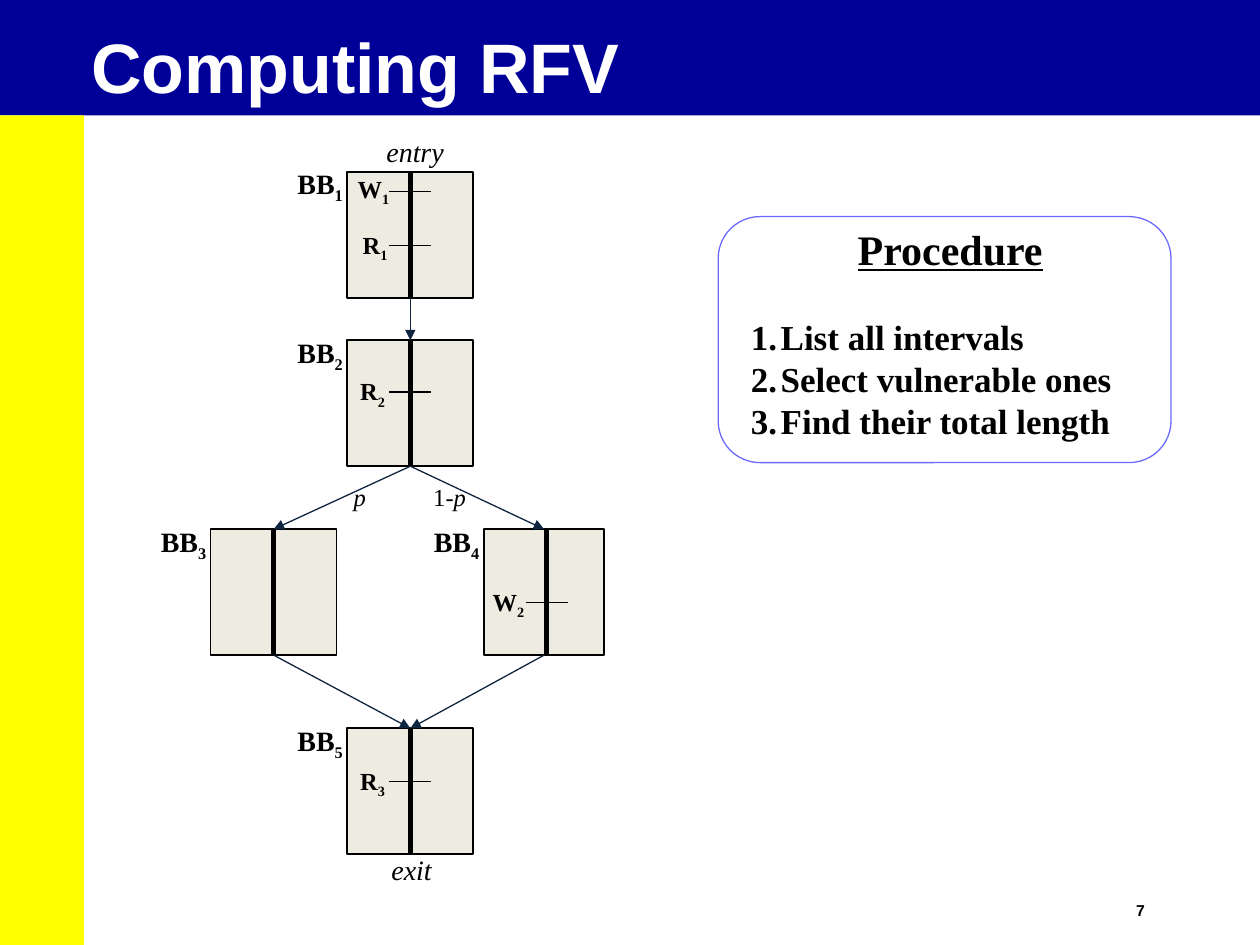
"""Build the "Computing RFV" slide with its control-flow graph and procedure."""
from dataclasses import dataclass

import pptx
import pptx.dml.color
import pptx.enum.dml
import pptx.enum.shapes
import pptx.enum.text
import pptx.oxml.ns
import pptx.util
from lxml import etree

Pt = pptx.util.Pt
RGBColor = pptx.dml.color.RGBColor
Shape = pptx.enum.shapes.MSO_SHAPE
Align = pptx.enum.text.PP_ALIGN
Anchor = pptx.enum.text.MSO_ANCHOR
qn = pptx.oxml.ns.qn

NAVY = RGBColor(0x00, 0x00, 0x99)
YELLOW = RGBColor(0xFF, 0xFF, 0x00)
WHITE = RGBColor(0xFF, 0xFF, 0xFF)
BLACK = RGBColor(0x00, 0x00, 0x00)
CREAM = RGBColor(0xEE, 0xEC, 0xE1)
ARROW_BLUE = RGBColor(0x10, 0x25, 0x3F)
FRAME_BLUE = RGBColor(0x6A, 0x6A, 0xFF)
SERIF = "Times New Roman"
SANS = "Arial"
SIDE = 72


@dataclass(frozen=True)
class Block:
    number: str
    left: float
    top: float
    width: float = SIDE


@dataclass(frozen=True)
class Access:
    block: int
    kind: str
    number: str
    tick: float
    label_right: float
    label_width: float
    label_rise: float = 12.4


@dataclass(frozen=True)
class Span:
    text: str
    bold: bool = False
    italic: bool = False
    subscript: bool = False


@dataclass(frozen=True)
class Label:
    spans: tuple
    left: float
    top: float
    width: float
    height: float
    size: float
    align: Align = Align.LEFT


BLOCKS = (
    Block("1", 198.5, 98.2),
    Block("2", 198.5, 194.4),
    Block("3", 120.4, 302.4),
    Block("4", 276.4, 302.4, 69),
    Block("5", 198.5, 416.2),
)
FLOWS = ((0, 1), (1, 2), (1, 3), (3, 4), (2, 4))
ACCESSES = (
    Access(0, "W", "1", 11.2, 31, 32.4, 13.6),
    Access(0, "R", "1", 42, 30, 28.8),
    Access(1, "R", "2", 29.6, 28.6, 28.8),
    Access(3, "W", "2", 41.8, 30.3, 32.4),
    Access(4, "R", "3", 30.2, 28.6, 28.8),
)
NOTES = (
    Label((Span("p", italic=True),), 195, 272, 21.6, 24.5, 14),
    Label((Span("1"), Span("-p", italic=True)), 240.5, 272, 33, 24.5, 14),
    Label((Span("entry", italic=True),), 207.2, 73.6, 60, 26.6, 16, Align.CENTER),
    Label((Span("exit", italic=True),), 205.2, 483.4, 60, 26.6, 16, Align.CENTER),
)
STEPS = ("List all intervals", "Select vulnerable ones", "Find their total length")


def add_box(page, kind, left: float, top: float, width: float, height: float,
            fill=None, line=None, weight: float = 1):
    box = page.shapes.add_shape(kind, Pt(left), Pt(top), Pt(width), Pt(height))
    box.shadow.inherit = False
    if fill is None:
        box.fill.background()
    else:
        box.fill.solid()
        box.fill.fore_color.rgb = fill
    if line is None:
        box.line.fill.background()
    else:
        box.line.color.rgb = line
        box.line.width = Pt(weight)
    return box


def add_line(page, start: tuple, end: tuple, color: RGBColor, weight: float):
    line = page.shapes.add_connector(
        pptx.enum.shapes.MSO_CONNECTOR.STRAIGHT, *map(Pt, start + end))
    line.line.color.rgb = color
    line.line.width = Pt(weight)
    etree.SubElement(line._element.spPr, qn("a:effectLst"))
    return line


def add_arrow(page, source, target) -> None:
    arrow = add_line(page, (0, 0), (0, 0), ARROW_BLUE, 0.75)
    arrow.begin_connect(source, 2)
    arrow.end_connect(target, 0)
    outline = arrow.line._get_or_add_ln()
    etree.SubElement(outline, qn("a:tailEnd"), type="triangle")


def add_stem(page, block: Block, box) -> None:
    middle = block.left + SIDE / 2
    stem = add_line(page, (middle, block.top), (middle, block.top + SIDE), BLACK, 3)
    if block.width == SIDE:
        stem.begin_connect(box, 0)
        stem.end_connect(box, 2)


def style(font, size: float, color: RGBColor, name: str, bold: bool) -> None:
    font.size = Pt(size)
    font.color.rgb = color
    font.name = name
    font.bold = bold


def add_label(page, label: Label) -> None:
    box = page.shapes.add_textbox(
        *map(Pt, (label.left, label.top, label.width, label.height)))
    box.text_frame.word_wrap = False
    para = box.text_frame.paragraphs[0]
    para.alignment = label.align
    for span in label.spans:
        run = para.add_run()
        run.text = span.text
        style(run.font, label.size, BLACK, SERIF, span.bold)
        run.font.italic = span.italic
        if span.subscript:
            run._r.get_or_add_rPr().set("baseline", "-25000")


def indexed(name: str, number: str) -> tuple:
    return Span(name, bold=True), Span(number, bold=True, subscript=True)


def add_access(page, access: Access) -> None:
    block = BLOCKS[access.block]
    height = block.top + access.tick
    start = block.left + 24
    add_line(page, (start, height), (start + 24, height), BLACK, 0.75)
    left = block.left + access.label_right - access.label_width
    add_label(page, Label(indexed(access.kind, access.number), left,
                          height - access.label_rise, access.label_width, 26.6, 14,
                          Align.RIGHT))


def add_heading(page, text: str, bounds: tuple, size: float, color: RGBColor,
                spacing: float, wrap: bool, anchor: Anchor) -> None:
    frame = page.shapes.add_textbox(*map(Pt, bounds)).text_frame
    frame.margin_left = frame.margin_right = Pt(4.4)
    frame.margin_top = frame.margin_bottom = Pt(1.4)
    frame.word_wrap = wrap
    frame.vertical_anchor = anchor
    frame.text = text
    frame.paragraphs[0].line_spacing = spacing
    style(frame.paragraphs[0].runs[0].font, size, color, SANS, True)


def add_procedure(page) -> None:
    frame = page.shapes.add_textbox(Pt(422), Pt(123.8), Pt(242), Pt(132.5)).text_frame
    frame.word_wrap = True
    frame.vertical_anchor = Anchor.MIDDLE
    frame.text = "\n".join(("Procedure",) + STEPS)
    heading, *steps = frame.paragraphs
    heading.alignment = Align.CENTER
    style(heading.runs[0].font, 24, BLACK, SERIF, True)
    heading.runs[0].font.underline = True
    steps[0].space_before = Pt(24)
    for para in steps:
        properties = para._p.get_or_add_pPr()
        properties.set("marL", str(Pt(17)))
        properties.set("indent", str(-Pt(17)))
        etree.SubElement(properties, qn("a:buFont"), typeface=SERIF)
        etree.SubElement(properties, qn("a:buAutoNum"), type="arabicPeriod")
        style(para.runs[0].font, 20, BLACK, SERIF, True)
    border = add_box(page, Shape.ROUNDED_RECTANGLE, 410.4, 123.8, 258.8, 140.6,
                     line=FRAME_BLUE, weight=0.75)
    border.adjustments[0] = 0.17


def main() -> None:
    deck = pptx.Presentation()
    deck.slide_width, deck.slide_height = Pt(720), Pt(540)
    page = deck.slides.add_slide(deck.slide_layouts[6])
    add_box(page, Shape.RECTANGLE, 0, 0, 720, 66, NAVY)
    add_box(page, Shape.RECTANGLE, 0, 66, 48, 474, YELLOW)
    add_heading(page, "7", (644.8, 514.2, 52, 14), 9, BLACK, 0.97, False, Anchor.TOP)
    add_heading(page, "Computing RFV", (47.8, 17.6, 630, 45.4), 40, WHITE, 0.87, True,
                Anchor.BOTTOM)
    boxes = [add_box(page, Shape.RECTANGLE, block.left, block.top, block.width, SIDE,
                     CREAM, BLACK) for block in BLOCKS]
    for source, target in FLOWS:
        add_arrow(page, boxes[source], boxes[target])
    for block, box in zip(BLOCKS, boxes):
        add_stem(page, block, box)
        add_label(page, Label(indexed("BB", block.number), block.left - 35.6,
                              block.top - 6.4, 40.3, 29.5, 16))
    for access in ACCESSES:
        add_access(page, access)
    for note in NOTES:
        add_label(page, note)
    add_procedure(page)
    deck.save("out.pptx")


if __name__ == "__main__":
    main()
